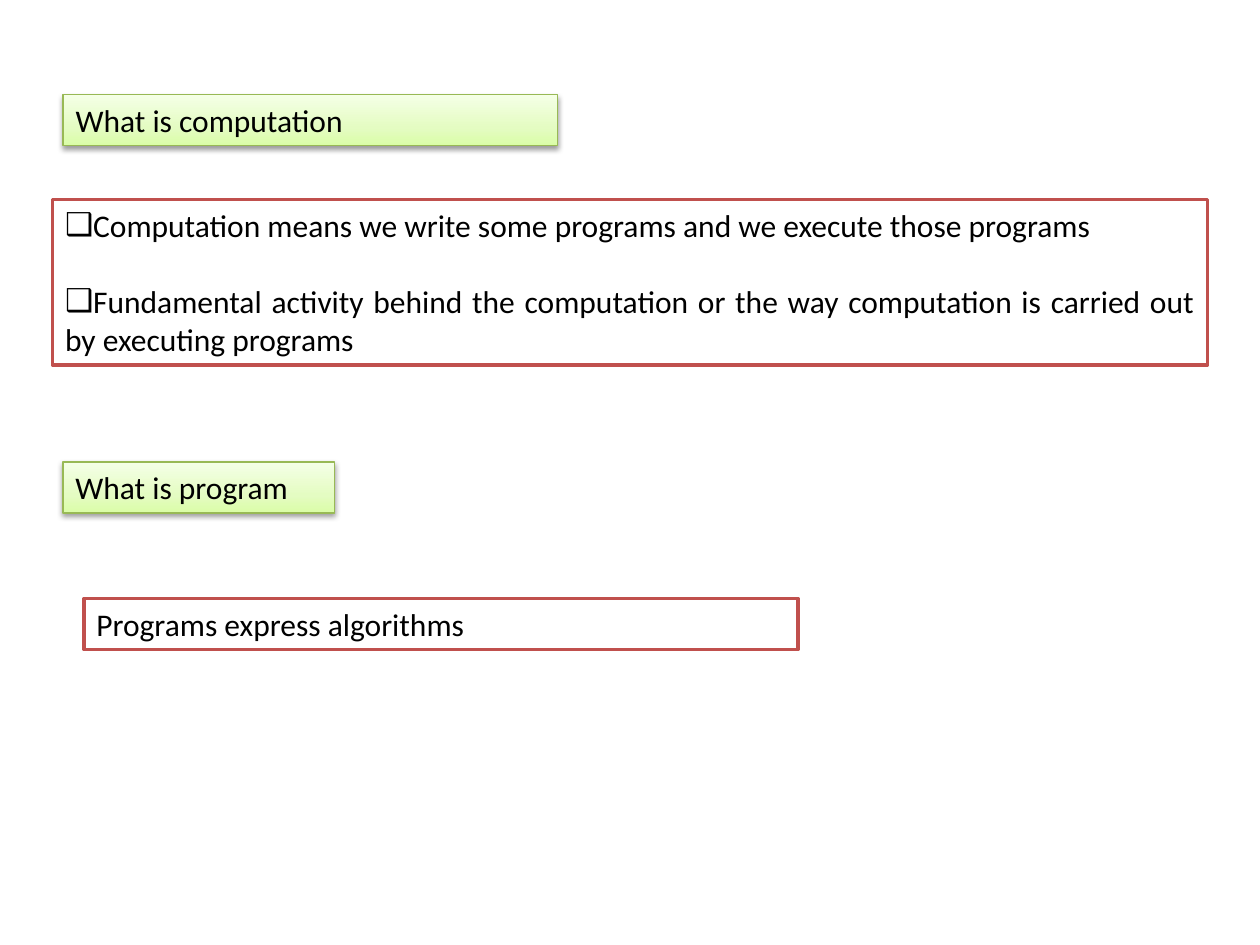
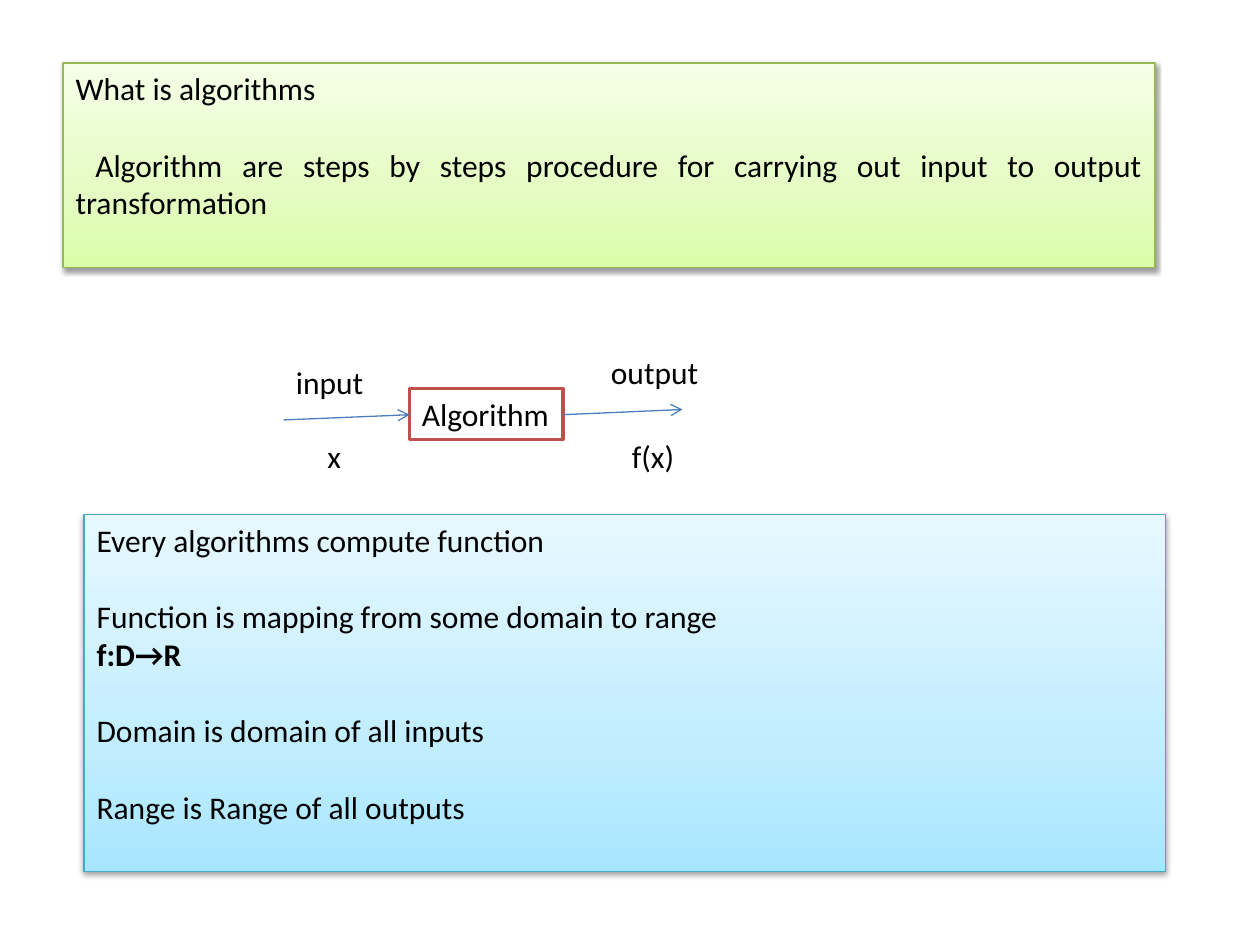
from copy import deepcopy
from lxml.etree import SubElement as Sub
from pptx import Presentation
from pptx.dml.color import RGBColor as RGB
from pptx.enum.shapes import MSO_CONNECTOR as Line, MSO_SHAPE as Kind
from pptx.enum.text import MSO_ANCHOR as Anchor, MSO_AUTO_SIZE as Fit, PP_ALIGN as Align
from pptx.oxml.ns import qn
from pptx.util import Pt

PX = 9525  # EMU in one px, 96 px to the inch
FONT, SIZE = "Calibri", 18
SKIP = 22  # points, one line of text
HEX = {"ink": "000000", "paper": "FFFFFF", "red": "C0504D",
       "green": "98B955", "aqua": "46AAC5", "arrow": "4B7EBC"}
FADE = {"green": ("DAFDA7", "E4FCC2", "F5FFE7"),
        "aqua": ("A7E6FF", "C1EDFF", "E7F8FF")}


def write(shape, *lines, wrap=True, **base):
    """Fill a shape with lines: plain text, or (text, format) pairs."""
    frame = shape.text_frame
    frame.word_wrap = wrap
    frame.auto_size = Fit.NONE
    frame.vertical_anchor = Anchor.TOP
    for i, line in enumerate(lines):
        text, own = (line, {}) if isinstance(line, str) else line
        fmt = {**base, **own}
        para = frame.add_paragraph() if i else frame.paragraphs[0]
        props = para._p.get_or_add_pPr()
        props.set("marL", "0")
        props.set("indent", str(fmt.get("indent", 0) * PX))
        if "bullet" in fmt:
            Sub(props, qn("a:buChar"), char=fmt["bullet"])
        else:
            Sub(props, qn("a:buNone"))
        para.alignment = fmt.get("align", Align.LEFT)
        para.space_before = Pt(fmt.get("gap", 0))
        run = para.add_run()
        run.text = text
        run.font.name, run.font.size = FONT, Pt(SIZE)
        run.font.bold = fmt.get("bold", False)
        run.font.color.rgb = RGB.from_string(HEX["ink"])


def dress(shape, at, tone):
    """Place a box; give it a plain red frame or a shaded, shadowed panel."""
    shape.left, shape.top, shape.width, shape.height = [n * PX for n in at]
    shape.shadow.inherit = False
    shape.line.color.rgb = RGB.from_string(HEX[tone])
    if tone not in FADE:
        shape.line.width = Pt(2)
        shape.fill.solid()
        shape.fill.fore_color.rgb = RGB.from_string(HEX["paper"])
        return shape
    shape.line.width = Pt(0.75)
    shape.fill.gradient()
    shape.fill.gradient_angle = 90
    props = shape._element.spPr
    stops = props.find(qn("a:gradFill")).find(qn("a:gsLst"))
    stops.append(deepcopy(stops[0]))
    for stop, spot, shade in zip(shape.fill.gradient_stops, (0, 0.35, 1), FADE[tone]):
        stop.position = spot
        stop.color.rgb = RGB.from_string(shade)
    shadow = Sub(props.find(qn("a:effectLst")), qn("a:outerShdw"), blurRad="40000",
                 dist="20000", dir="5400000", rotWithShape="0")
    Sub(Sub(shadow, qn("a:srgbClr"), val=HEX["ink"]), qn("a:alpha"), val="38000")
    return shape


deck = Presentation()
deck.slide_width, deck.slide_height = 960 * PX, 720 * PX
layout = deck.slide_layouts[1]

# Slide 1: computation and program
page = deck.slides.add_slide(layout)
title, body = page.placeholders
write(dress(title, (48, 72, 377, 39), "green"), "What is computation")
write(dress(body, (40, 152, 880, 126), "red"),
      "Computation means we write some programs and we execute those programs",
      ("Fundamental activity behind the computation or the way computation "
       "is carried out by executing programs", {"gap": SKIP}),
      bullet="❑", align=Align.JUSTIFY)
for text, at, tone in (("What is program", (48, 352, 207, 39), "green"),
                       ("Programs express algorithms", (64, 456, 544, 39), "red")):
    box = page.shapes.add_shape(Kind.RECTANGLE, 0, 0, PX, PX)
    write(dress(box, at, tone), text)

# Slide 2: algorithms
page = deck.slides.add_slide(layout)
title, body = page.placeholders
write(dress(title, (48, 48, 832, 156), "green"),
      "What is algorithms",
      ("Algorithm are steps by steps procedure for carrying out input to output "
       "transformation", {"gap": SKIP, "indent": 15, "align": Align.JUSTIFY}))
write(dress(body, (64, 392, 824, 272), "aqua"),
      "Every algorithms compute function",
      ("Function is mapping from some domain to range", {"gap": SKIP}),
      ("f:D→R", {"bold": True}),
      ("Domain is domain of all inputs", {"gap": SKIP}),
      ("Range is Range of all outputs", {"gap": SKIP}))

# Flow from input to output
box = page.shapes.add_shape(Kind.RECTANGLE, 0, 0, PX, PX)
write(dress(box, (312, 296, 117, 39), "red"), "Algorithm", wrap=False)
for ends in ((216, 320, 312, 316), (429, 316, 520, 312)):
    arrow = page.shapes.add_connector(Line.STRAIGHT, *[n * PX for n in ends])
    arrow.line.color.rgb = RGB.from_string(HEX["arrow"])
    arrow.line.width = Pt(0.75)
    Sub(arrow.line._get_or_add_ln(), qn("a:tailEnd"), type="arrow")
    Sub(arrow._element.spPr, qn("a:effectLst"))
for text, left, top, width in (("input", 216, 272, 71), ("output", 456, 264, 86),
                               ("x", 240, 328, 30), ("f(x)", 472, 328, 52)):
    label = page.shapes.add_textbox(left * PX, top * PX, width * PX, 39 * PX)
    write(label, text, wrap=False)

deck.save("out.pptx")
